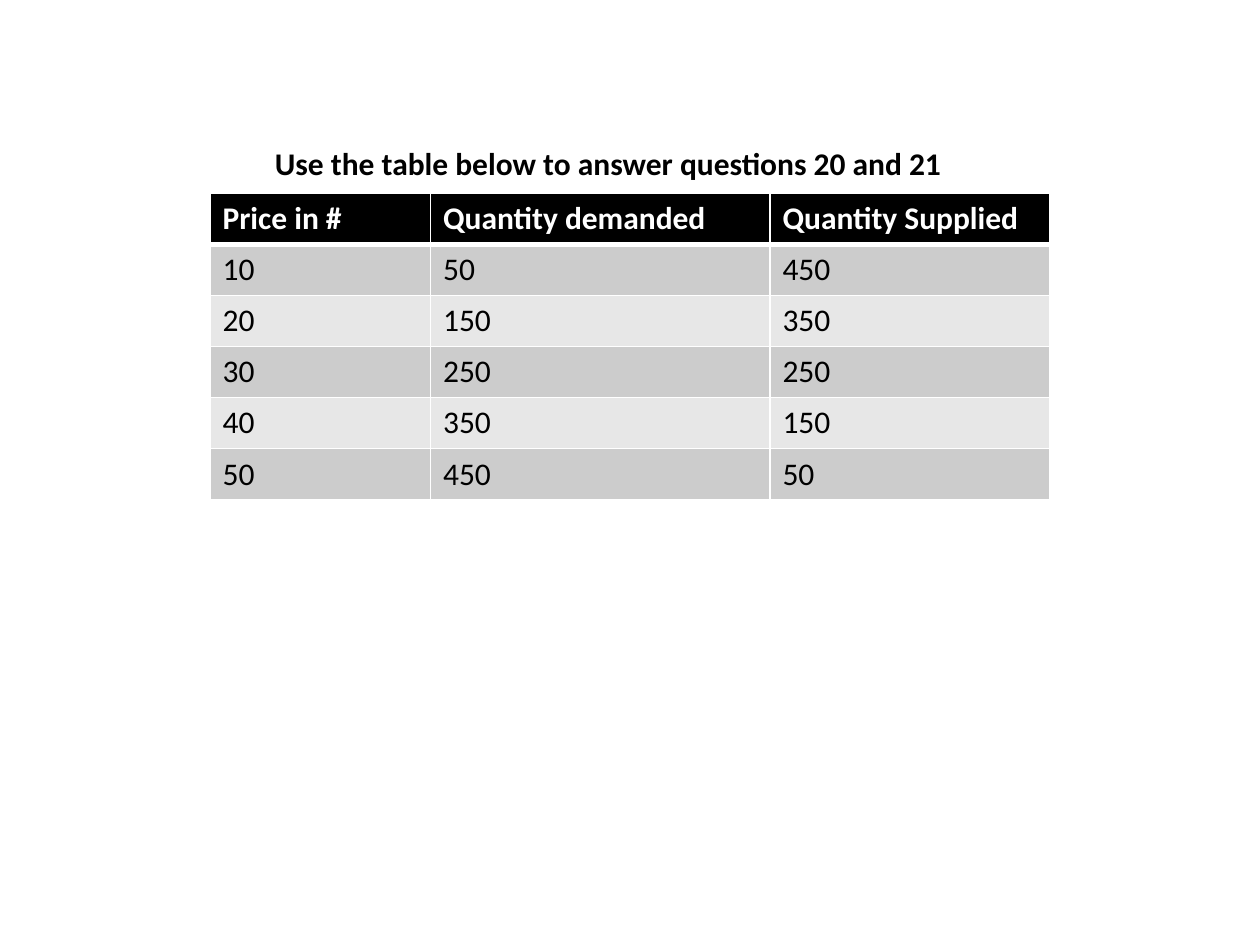
from lxml.etree import SubElement
from pptx import Presentation
from pptx.dml.color import RGBColor
from pptx.enum.text import MSO_AUTO_SIZE
from pptx.oxml.ns import qn
from pptx.util import Pt

TITLE = "Use the table below to answer questions 20 and 21"
HEADER = ("Price in #", "Quantity demanded", "Quantity Supplied")
ROWS = [
    (10, 50, 450),
    (20, 150, 350),
    (30, 250, 250),
    (40, 350, 150),
    (50, 450, 50),
]
THEME = {
    "font": "Calibri",
    "size": 18,
    "ink": "000000",
    "paper": "FFFFFF",
    "bands": ("CCCCCC", "E7E7E7"),
    "rule": 1,
    "header_rule": 3,
}
SLIDE_SIZE = (720, 540)
TITLE_BOX = (150, 79, 403, 29)
TABLE_ORIGIN = (120, 110.4)
COLUMN_WIDTHS = (126, 194, 160)
ROW_HEIGHT = 29.2


def write(frame, text, color, bold):
    span = frame.paragraphs[0].add_run()
    span.text = text
    formats = {"name": THEME["font"], "size": Pt(THEME["size"]), "bold": bold}
    for name, value in formats.items():
        setattr(span.font, name, value)
    span.font.color.rgb = RGBColor.from_string(color)


def add_borders(cell, widths):
    properties = cell._tc.get_or_add_tcPr()
    for side, width in widths.items():
        line = SubElement(properties, qn(f"a:ln{side}"), w=str(Pt(width)))
        fill = SubElement(line, qn("a:solidFill"))
        SubElement(fill, qn("a:srgbClr"), val=THEME["paper"])


def add_quantity_table(page):
    rows = [HEADER, *ROWS]
    table = page.shapes.add_table(
        len(rows), len(HEADER), *map(Pt, TABLE_ORIGIN),
        Pt(sum(COLUMN_WIDTHS)), Pt(ROW_HEIGHT * len(rows)),
    ).table
    for column, width in zip(table.columns, COLUMN_WIDTHS):
        column.width = Pt(width)
    for index, values in enumerate(rows):
        table.rows[index].height = Pt(ROW_HEIGHT)
        is_header = index == 0
        background = THEME["ink"] if is_header else THEME["bands"][(index - 1) % 2]
        color = THEME["paper"] if is_header else THEME["ink"]
        widths = dict.fromkeys("LRTB", THEME["rule"])
        if index < 2:
            widths["B" if is_header else "T"] = THEME["header_rule"]
        for cell, value in zip(table.rows[index].cells, values):
            add_borders(cell, widths)
            cell.fill.solid()
            cell.fill.fore_color.rgb = RGBColor.from_string(background)
            write(cell.text_frame, str(value), color, is_header)


def add_title(page):
    frame = page.shapes.add_textbox(*map(Pt, TITLE_BOX)).text_frame
    formats = {"word_wrap": False, "auto_size": MSO_AUTO_SIZE.SHAPE_TO_FIT_TEXT}
    for name, value in formats.items():
        setattr(frame, name, value)
    write(frame, TITLE, THEME["ink"], True)


def main():
    deck = Presentation()
    deck.slide_width, deck.slide_height = map(Pt, SLIDE_SIZE)
    page = deck.slides.add_slide(deck.slide_layouts[6])
    add_quantity_table(page)
    add_title(page)
    deck.save("out.pptx")


if __name__ == "__main__":
    main()
